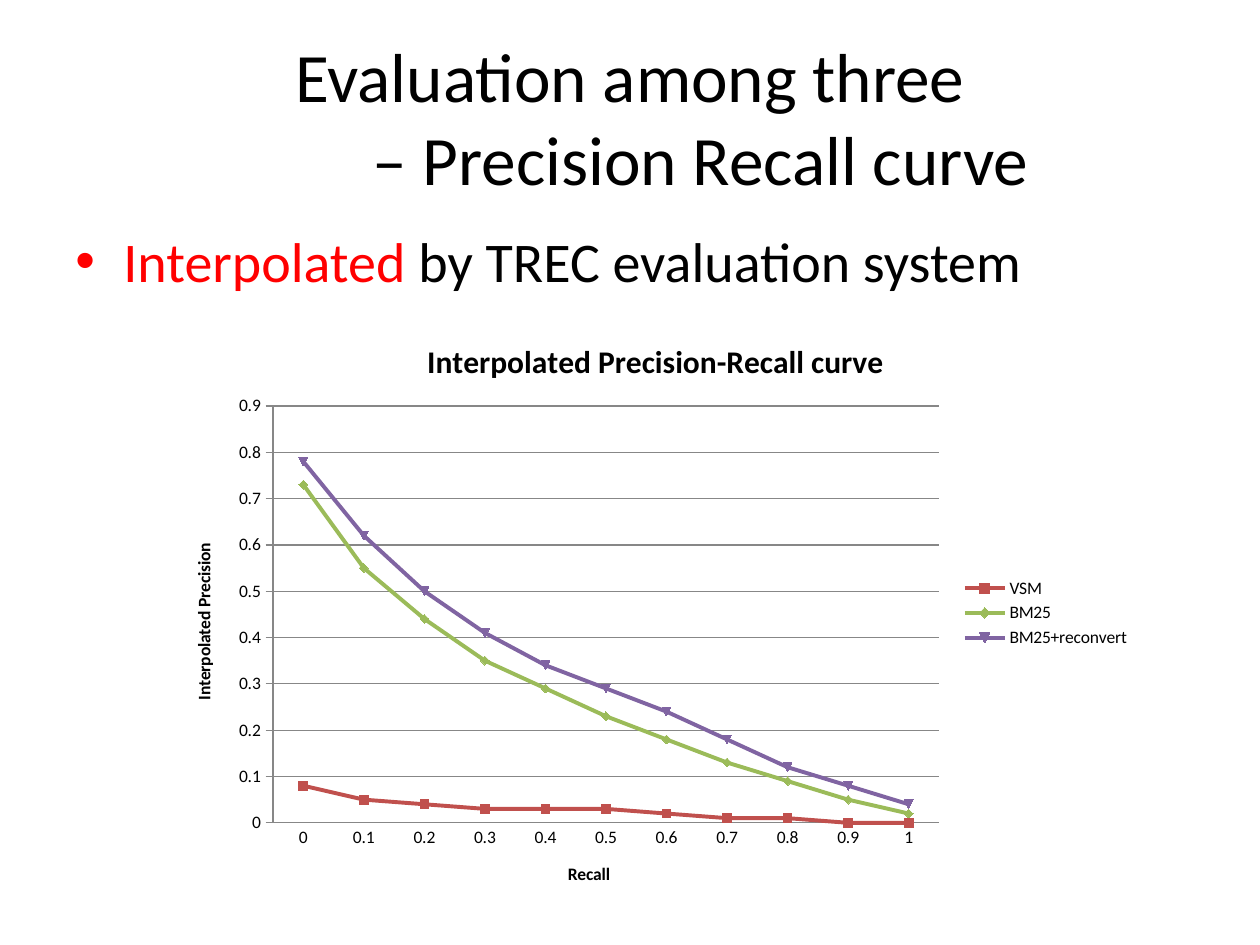
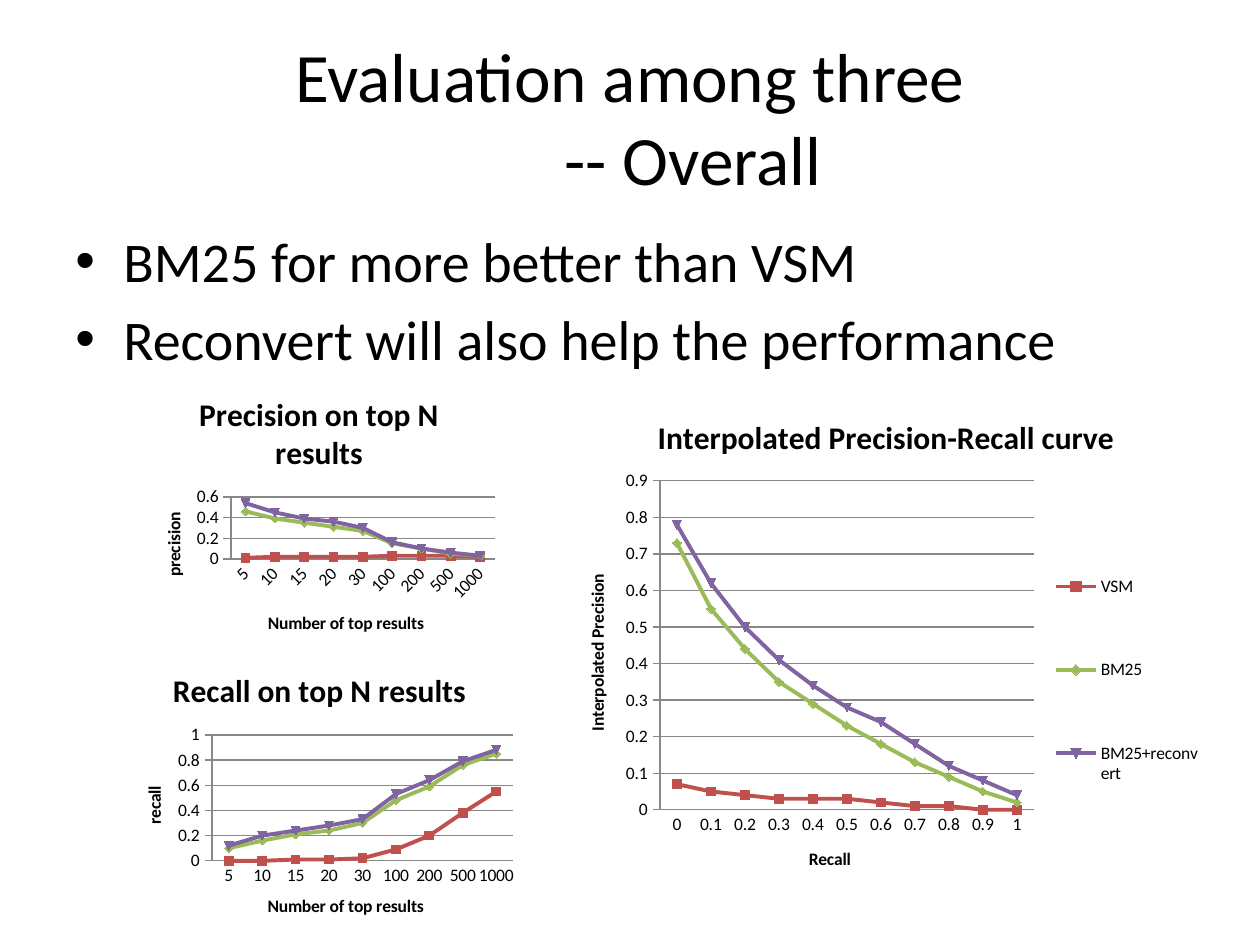
from lxml import etree
from pptx import Presentation
from pptx.chart.data import CategoryChartData
from pptx.dml.color import RGBColor
from pptx.enum.chart import XL_CHART_TYPE, XL_LEGEND_POSITION, XL_TICK_MARK
from pptx.enum.text import MSO_ANCHOR, PP_ALIGN
from pptx.oxml import parse_xml
from pptx.oxml.ns import nsdecls, qn
from pptx.util import Emu, Pt

LINE_MARKERS = XL_CHART_TYPE.LINE_MARKERS
LEGEND_RIGHT = XL_LEGEND_POSITION.RIGHT
TICK_NONE, TICK_CROSS = XL_TICK_MARK.NONE, XL_TICK_MARK.CROSS

# Shared look
PX = 914400 // 126
FONT = "Calibri"
BLACK, RED, GREY = "000000", "FF0000", "878787"
SERIES_COLOURS = ["C0504D", "9BBB59", "8064A2"]
TITLE_BOX = (63, 38, 1134, 157)
BODY_BOX = (63, 220, 1134, 624)
BULLET_INDENT = 48
TAB_WIDTH = 126

# Chart data
RECALL_LEVELS = [f"{i / 10:g}" for i in range(11)]
TOP_N = ["5", "10", "15", "20", "30", "100", "200", "500", "1000"]
PRECISION = {
    "Series 1": [0.01, 0.02, 0.02, 0.02, 0.02, 0.03, 0.03, 0.03, 0.02],
    "Series 2": [0.46, 0.39, 0.35, 0.31, 0.27, 0.15, 0.1, 0.05, 0.03],
    "Series 3": [0.54, 0.45, 0.39, 0.36, 0.3, 0.16, 0.1, 0.06, 0.03],
}
RECALL = {
    "Series 1": [0, 0, 0.01, 0.01, 0.02, 0.09, 0.2, 0.38, 0.55],
    "Series 2": [0.1, 0.16, 0.21, 0.24, 0.3, 0.48, 0.59, 0.76, 0.85],
    "Series 3": [0.12, 0.2, 0.24, 0.28, 0.33, 0.53, 0.64, 0.79, 0.88],
}


def interpolated(vsm_start, reconvert_middle):
    """Interpolated precision; the two slides differ in two values."""
    return {
        "VSM": [vsm_start, 0.05, 0.04, 0.03, 0.03, 0.03, 0.02, 0.01, 0.01,
                0, 0],
        "BM25": [0.73, 0.55, 0.44, 0.35, 0.29, 0.23, 0.18, 0.13, 0.09, 0.05,
                 0.02],
        "BM25+reconvert": [0.78, 0.62, 0.5, 0.41, 0.34, reconvert_middle,
                           0.24, 0.18, 0.12, 0.08, 0.04],
    }


def px(length):
    return Emu(length * PX)


def colour(hex_string):
    return RGBColor.from_string(hex_string)


def style_font(font, size, hex_string=BLACK, bold=None):
    font.name, font.size, font.bold = FONT, Pt(size), bold
    font.color.rgb = colour(hex_string)


# Text
def add_text_frame(slide, box):
    frame = slide.shapes.add_textbox(*map(px, box)).text_frame
    frame.word_wrap = True
    return frame


def add_title(slide, text):
    frame = add_text_frame(slide, TITLE_BOX)
    frame.vertical_anchor = MSO_ANCHOR.MIDDLE
    heading = frame.paragraphs[0]
    heading.text = text
    heading.alignment = PP_ALIGN.CENTER
    style_font(heading.font, 39.6)
    heading._p.get_or_add_pPr().set("defTabSz", str(px(TAB_WIDTH)))


def add_bullets(slide, items):
    """Each item is a list of (text, colour) runs."""
    frame = add_text_frame(slide, BODY_BOX)
    for i, runs in enumerate(items):
        bullet = frame.add_paragraph() if i else frame.paragraphs[0]
        bullet.space_before = Pt(6.4)
        style_font(bullet.font, 32)
        for text, hex_string in runs:
            run = bullet.add_run()
            run.text = text
            style_font(run.font, 32, hex_string)
        props = bullet._p.get_or_add_pPr()
        props.set("marL", str(px(BULLET_INDENT)))
        props.set("indent", str(-px(BULLET_INDENT)))
        default_font = props.find(qn("a:defRPr"))
        for tag, key, value in [("a:buFont", "typeface", "Arial"),
                                ("a:buChar", "char", "•")]:
            default_font.addprevious(etree.Element(qn(tag), {key: value}))


# Charts
def set_layout(element, index, box, chart_box, inner=False):
    """Place a chart part at a pixel box of the slide."""
    for old in element.findall(qn("c:layout")):
        element.remove(old)
    left, top, width, height = chart_box
    shares = {"x": (box[0] - left) / width, "y": (box[1] - top) / height,
              "w": box[2] / width, "h": box[3] / height}
    target = '<c:layoutTarget val="inner"/>' if inner else ""
    modes = '<c:xMode val="edge"/><c:yMode val="edge"/>'
    sizes = "".join(f'<c:{k} val="{v:.4f}"/>' for k, v in shares.items())
    element.insert(index, parse_xml(
        f'<c:layout {nsdecls("c")}><c:manualLayout>{target}{modes}{sizes}'
        "</c:manualLayout></c:layout>"))


def set_caption(title, text, size):
    caption = title.text_frame.paragraphs[0]
    caption.text = text
    style_font(caption.font, size, bold=True)


def style_axis(axis, caption, tick):
    set_caption(axis.axis_title, caption, 10)
    axis.major_tick_mark, axis.minor_tick_mark = tick, TICK_NONE
    axis.format.line.color.rgb = colour(GREY)
    axis.format.line.width = Pt(0.75)


def add_line_chart(slide, box, plot_box, title, captions, categories, series,
                   top_value, step, legend=False, legend_box=None):
    data = CategoryChartData()
    data.categories = categories
    for name, values in series.items():
        data.add_series(name, values)
    chart = slide.shapes.add_chart(LINE_MARKERS, *map(px, box), data).chart
    style_font(chart.font, 10)
    chart.has_title = True
    set_caption(chart.chart_title, title, 18)

    # Axes
    value_axis = chart.value_axis
    style_axis(chart.category_axis, captions[0], TICK_NONE)
    style_axis(value_axis, captions[1], TICK_CROSS)
    turned = value_axis.axis_title.text_frame._txBody.bodyPr
    turned.set("rot", "-5400000")
    turned.set("vert", "horz")
    value_axis.minimum_scale, value_axis.maximum_scale = 0, top_value
    value_axis.major_unit = step
    value_axis.tick_labels.number_format = "General"
    value_axis.tick_labels.number_format_is_linked = False
    value_axis.has_major_gridlines = True
    grid = value_axis.major_gridlines.format.line
    grid.color.rgb, grid.width = colour(GREY), Pt(0.75)

    # Lines and markers
    plot = chart.plots[0]
    plot.vary_by_categories = False
    for curve, hex_string in zip(plot.series, SERIES_COLOURS):
        curve.smooth = False
        curve.format.line.color.rgb = colour(hex_string)
        curve.format.line.width = Pt(2.25)
        curve.marker.size = 5
        curve.marker.format.fill.solid()
        curve.marker.format.fill.fore_color.rgb = colour(hex_string)
        curve.marker.format.line.color.rgb = colour(hex_string)

    # Legend and plot area
    chart.has_legend = legend
    if legend:
        chart.legend.position = LEGEND_RIGHT
        chart.legend.include_in_layout = False
        if legend_box:
            set_layout(chart.legend._element, 1, legend_box, box)
    plot_area = chart._chartSpace.chart.plotArea
    set_layout(plot_area, 0, plot_box, box, inner=True)


def add_interpolated_chart(slide, box, plot_box, series, legend_box=None):
    add_line_chart(slide, box, plot_box, "Interpolated Precision-Recall curve",
                   ("Recall", "Interpolated Precision"), RECALL_LEVELS,
                   series, 0.9, 0.1, True, legend_box)


def add_top_n_chart(slide, box, plot_box, measure, series, top_value):
    add_line_chart(slide, box, plot_box, f"{measure} on top N results",
                   ("Number of top results", measure.lower()), TOP_N,
                   series, top_value, 0.2)


# Slides
def build_curve_slide(slide):
    add_title(slide, "Evaluation among three\v\t – Precision Recall curve")
    add_bullets(slide, [[("Interpolated", RED),
                         (" by TREC evaluation system", BLACK)]])
    add_interpolated_chart(slide, (168, 315, 975, 596), (273, 406, 666, 417),
                           interpolated(0.08, 0.29))


def build_overall_slide(slide):
    add_title(slide, "Evaluation among three\v\t-- Overall")
    add_bullets(slide, [[("BM25 for more better than VSM", BLACK)],
                        [("Reconvert will also help the performance", BLACK)]])
    add_top_n_chart(slide, (118, 650, 403, 295), (212, 735, 301, 126),
                    "Recall", RECALL, 1)
    add_top_n_chart(slide, (137, 374, 364, 286), (231, 497, 264, 62),
                    "Precision", PRECISION, 0.6)
    add_interpolated_chart(slide, (561, 393, 650, 501), (660, 481, 374, 329),
                           interpolated(0.07, 0.28),
                           legend_box=(1052, 513, 150, 334))


def main():
    deck = Presentation()
    deck.slide_width, deck.slide_height = px(1260), px(945)
    blank = deck.slide_layouts[6]
    for build in (build_curve_slide, build_overall_slide):
        build(deck.slides.add_slide(blank))
    deck.save("out.pptx")


main()
